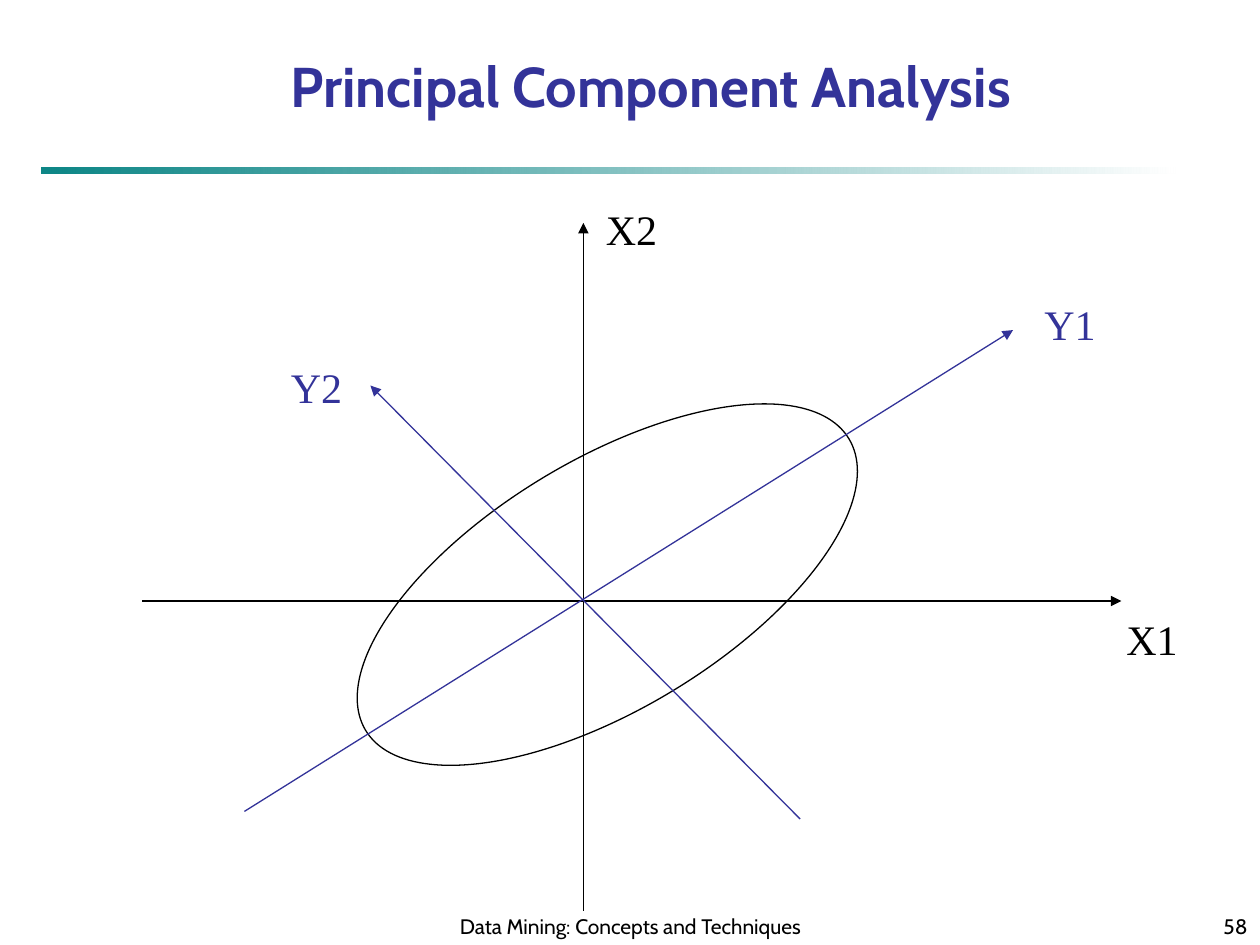
from pptx import Presentation
from pptx.dml.color import RGBColor
from pptx.enum.shapes import MSO_CONNECTOR, MSO_SHAPE
from pptx.enum.text import MSO_ANCHOR, MSO_AUTO_SIZE, PP_ALIGN
from pptx.oxml.ns import qn
from pptx.util import Inches, Pt
from lxml.etree import SubElement

COLORS = {"black": "000000", "indigo": "333399", "teal": "008080", "white": "FFFFFF"}
TITLE = {"name": "Cabin", "size": Pt(32), "bold": True}
FOOTER = {"name": "Cabin", "size": Pt(12)}
LABEL = {"name": "Times New Roman", "size": Pt(24)}


def rgb(color):
    return RGBColor.from_string(COLORS[color])


def add_text(s, text, box, fmt, color="black", align=PP_ALIGN.LEFT,
             anchor=MSO_ANCHOR.TOP, wrap=True, auto_size=MSO_AUTO_SIZE.NONE):
    tf = s.shapes.add_textbox(*map(Inches, box)).text_frame
    tf.word_wrap = wrap
    tf.auto_size = auto_size
    tf.vertical_anchor = anchor
    p = tf.paragraphs[0]
    p.alignment = align
    r = p.add_run()
    r.text = text
    for name, value in fmt.items():
        setattr(r.font, name, value)
    r.font.color.rgb = rgb(color)


def add_label(s, text, left, top, color):
    add_text(s, text, (left, top, 0.61, 0.5), LABEL, color, wrap=False,
             auto_size=MSO_AUTO_SIZE.SHAPE_TO_FIT_TEXT)


def add_axis(s, start, end, color):
    sp = s.shapes.add_connector(MSO_CONNECTOR.STRAIGHT, *map(Inches, start + end))
    sp.line.color.rgb = rgb(color)
    sp.line.width = Pt(0.75)
    SubElement(sp.line._get_or_add_ln(), qn("a:tailEnd"), type="triangle")
    SubElement(sp._element.spPr, qn("a:effectLst"))


def add_rule(s):
    sp = s.shapes.add_shape(MSO_SHAPE.RECTANGLE, *map(Inches, (0.33, 1.33, 9, 0.05)))
    sp.shadow.inherit = False
    sp.line.fill.background()
    sp.fill.gradient()
    sp.fill.gradient_angle = 0
    for stop, color, position in zip(sp.fill.gradient_stops, ("teal", "white"), (0, 1)):
        stop.color.rgb = rgb(color)
        stop.position = position
    first = sp._element.spPr.find(".//" + qn("a:srgbClr"))
    SubElement(first, qn("a:alpha"), val="95000")


def add_ellipse(s):
    sp = s.shapes.add_shape(MSO_SHAPE.OVAL, *map(Inches, (2.58, 3.65, 4.48, 1.98)))
    sp.rotation = 328.9
    sp.shadow.inherit = False
    sp.fill.background()
    sp.line.color.rgb = rgb("black")
    sp.line.width = Pt(0.75)


def main():
    prs = Presentation()
    prs.slide_width, prs.slide_height = Inches(10), Inches(7.5)
    s = prs.slides.add_slide(prs.slide_layouts[6])

    add_rule(s)
    add_text(s, "Data Mining: Concepts and Techniques", (3.42, 7.08, 3.17, 0.42),
             FOOTER, align=PP_ALIGN.CENTER, anchor=MSO_ANCHOR.BOTTOM)
    add_text(s, "58", (7.92, 7.08, 2.08, 0.42),
             FOOTER, align=PP_ALIGN.RIGHT, anchor=MSO_ANCHOR.BOTTOM)

    add_axis(s, (1.13, 4.77), (8.9, 4.77), "black")
    add_axis(s, (4.63, 7.23), (4.63, 1.77), "black")
    add_ellipse(s)
    add_axis(s, (1.94, 6.44), (8.04, 2.62), "indigo")
    add_axis(s, (6.35, 6.5), (2.94, 3.06), "indigo")

    for text, left, top, color in (
        ("X1", 8.84, 4.82, "black"),
        ("X2", 4.71, 1.57, "black"),
        ("Y1", 8.19, 2.32, "indigo"),
        ("Y2", 2.21, 2.82, "indigo"),
    ):
        add_label(s, text, left, top, color)

    add_text(s, "Principal Component Analysis", (1.5, 0.36, 7.33, 0.64), TITLE,
             "indigo", PP_ALIGN.CENTER, auto_size=MSO_AUTO_SIZE.SHAPE_TO_FIT_TEXT)
    prs.save("out.pptx")


if __name__ == "__main__":
    main()
